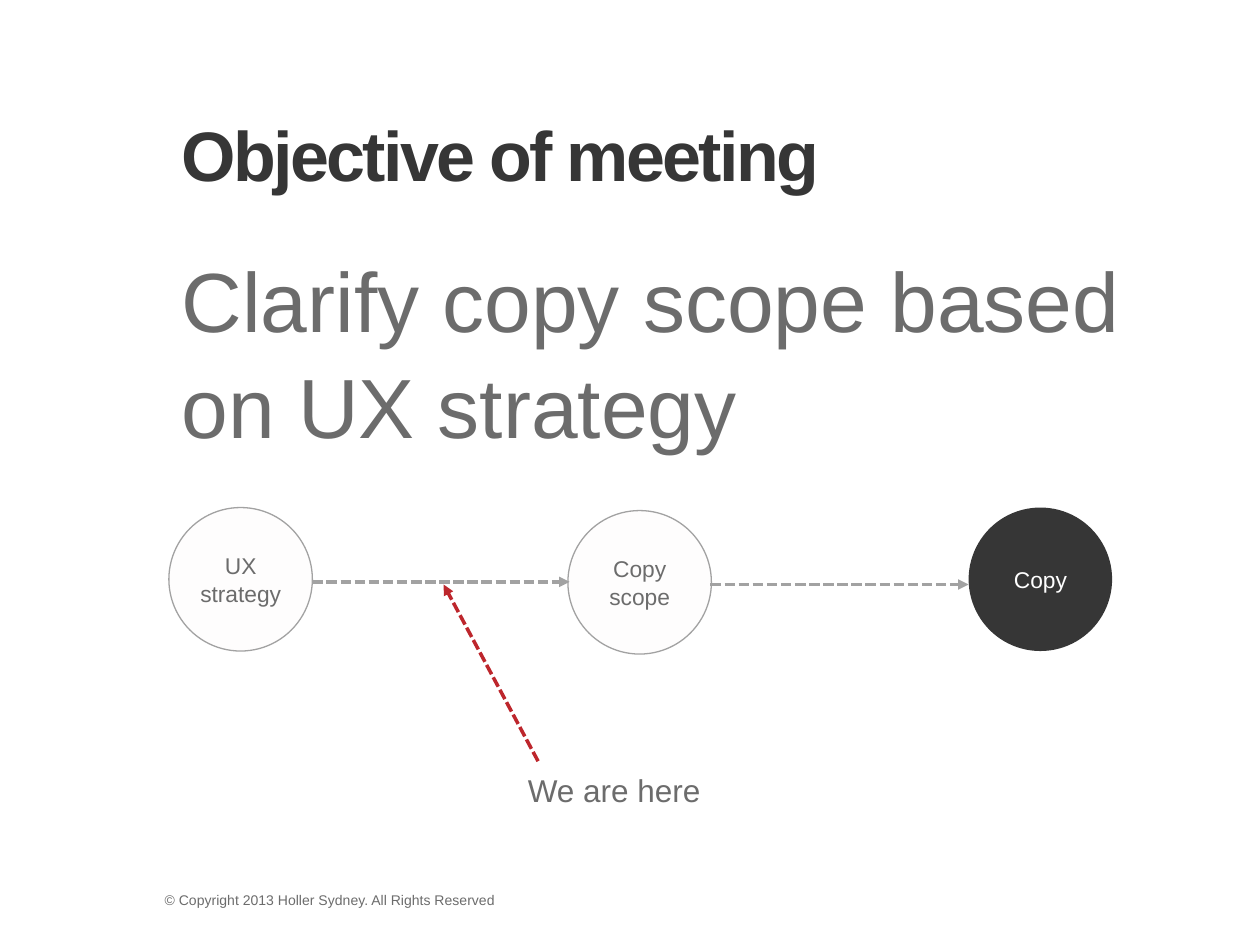
from dataclasses import dataclass

from lxml import etree
from pptx import Presentation
from pptx.dml.color import RGBColor
from pptx.enum.dml import MSO_LINE
from pptx.enum.shapes import MSO_CONNECTOR, MSO_SHAPE
from pptx.enum.text import MSO_ANCHOR, MSO_AUTO_SIZE, PP_ALIGN
from pptx.oxml.ns import qn
from pptx.util import Pt

DASH = MSO_LINE.SQUARE_DOT
STRAIGHT = MSO_CONNECTOR.STRAIGHT
OVAL = MSO_SHAPE.OVAL
TOP, MIDDLE, BOTTOM = MSO_ANCHOR.TOP, MSO_ANCHOR.MIDDLE, MSO_ANCHOR.BOTTOM
LEFT, CENTER = PP_ALIGN.LEFT, PP_ALIGN.CENTER
NO_FIT, GROW = MSO_AUTO_SIZE.NONE, MSO_AUTO_SIZE.SHAPE_TO_FIT_TEXT

COLORS = {
    "dark": "363636",
    "text": "6C6C6C",
    "line": "A2A2A2",
    "pale": "FEFDFD",
    "white": "FFFFFF",
    "accent": "BD262C",
}
FONT = "Arial"
DIAMETER = 82


@dataclass
class Step:
    label: str
    x: float
    y: float
    fill: str = "pale"
    outline: str = "line"
    text: str = "text"


@dataclass
class Arrow:
    start: tuple[float, float]
    end: tuple[float, float]
    color: str = "line"


STEPS = [
    Step("UX strategy", 96.5, 290),
    Step("Copy scope", 324.5, 291.75),
    Step("Copy", 553.5, 290, fill="dark", outline="", text="white"),
]
ARROWS = [
    Arrow((178.5, 332.5), (325.5, 332.5)),
    Arrow((406, 334), (553.5, 334)),
    Arrow((307.5, 435), (253.5, 334), "accent"),
]


def rgb(name: str) -> RGBColor:
    return RGBColor.from_string(COLORS[name])


def place(sp, x: float, y: float, w: float, h: float) -> None:
    box = {"left": x, "top": y, "width": w, "height": h}
    for name, value in box.items():
        setattr(sp, name, Pt(value))


def write(sp, text: str, size: float, color: str = "text", bold: bool = False,
          align=LEFT, **frame):
    """Fill a shape with one paragraph and return that paragraph."""
    tf = sp.text_frame
    frame_format = {"word_wrap": True, "auto_size": NO_FIT, "vertical_anchor": TOP}
    for name, value in (frame_format | frame).items():
        setattr(tf, name, value)
    p = tf.paragraphs[0]
    p.alignment = align
    p.space_before = Pt(0)
    r = p.add_run()
    r.text = text
    for name, value in {"name": FONT, "size": Pt(size), "bold": bold}.items():
        setattr(r.font, name, value)
    r.font.color.rgb = rgb(color)
    return p


def draw_step(slide, step: Step) -> None:
    sp = slide.shapes.add_shape(OVAL, Pt(step.x), Pt(step.y), Pt(DIAMETER), Pt(DIAMETER))
    sp.shadow.inherit = False
    sp.fill.solid()
    sp.fill.fore_color.rgb = rgb(step.fill)
    if step.outline:
        sp.line.color.rgb = rgb(step.outline)
        sp.line.width = Pt(0.75)
    else:
        sp.line.fill.background()
    write(sp, step.label, 13, step.text, align=CENTER, vertical_anchor=MIDDLE,
          margin_left=Pt(5), margin_right=Pt(5), margin_top=Pt(3), margin_bottom=Pt(3))


def draw_arrow(slide, arrow: Arrow) -> None:
    ends = [Pt(v) for v in (*arrow.start, *arrow.end)]
    cxn = slide.shapes.add_connector(STRAIGHT, *ends)
    cxn.line.color.rgb = rgb(arrow.color)
    cxn.line.width = Pt(2)
    cxn.line.dash_style = DASH
    etree.SubElement(cxn.line._get_or_add_ln(), qn("a:tailEnd"), type="triangle")
    etree.SubElement(cxn._element.spPr, qn("a:effectLst"))


def draw_text(slide, box: tuple, text: str, size: float, **style) -> None:
    sp = slide.shapes.add_textbox(*(Pt(v) for v in box))
    write(sp, text, size, **style)


def main() -> None:
    prs = Presentation()
    prs.slide_width, prs.slide_height = Pt(720), Pt(540)
    slide = prs.slides.add_slide(prs.slide_layouts[1])

    # Title and statement
    title, body = slide.shapes.title, slide.placeholders[1]
    place(title, 96.5, 60, 575, 55.5)
    p = write(title, "Objective of meeting", 40, "dark", bold=True, vertical_anchor=BOTTOM)
    p.runs[0].font._element.set("spc", "-150")

    place(body, 96.5, 135.5, 575, 147)
    p = write(body, "Clarify copy scope based on UX strategy", 48)
    p.line_spacing = 1.05
    pPr = p._p.get_or_add_pPr()
    pPr.set("marL", "0")
    pPr.set("indent", "0")
    etree.SubElement(pPr, qn("a:buNone"))

    # Process from strategy to copy
    for step in STEPS:
        draw_step(slide, step)
    for arrow in ARROWS:
        draw_arrow(slide, arrow)

    # Current position and copyright line
    draw_text(slide, (293.75, 437, 114.5, 29), "We are here", 18,
              align=CENTER, word_wrap=False, auto_size=GROW)
    draw_text(slide, (87, 506, 218, 19.5),
              "© Copyright 2013 Holler Sydney. All Rights Reserved", 8)

    prs.save("out.pptx")


if __name__ == "__main__":
    main()
